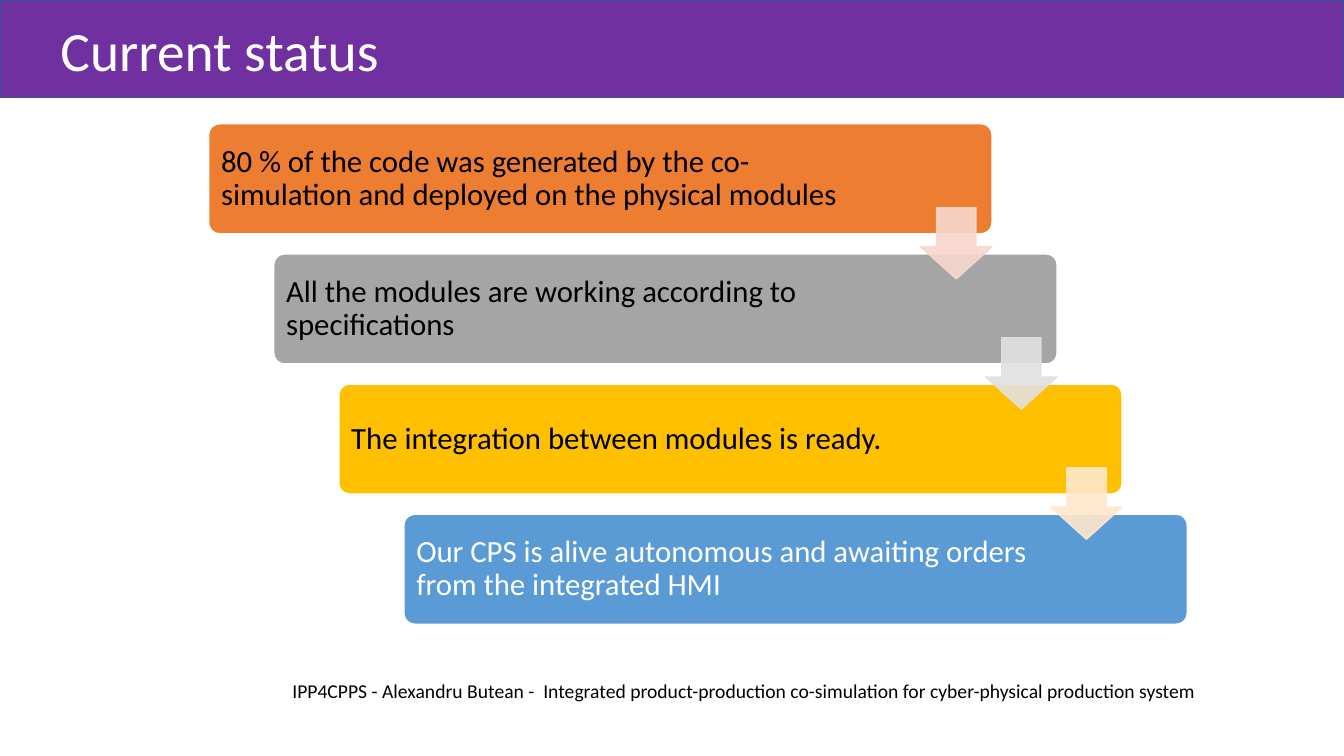
from dataclasses import dataclass

from lxml import etree
from pptx import Presentation
from pptx import util as u
from pptx.dml.color import RGBColor
from pptx.enum import shapes, text
from pptx.oxml.ns import qn
from pptx.shapes.autoshape import Shape
from pptx.slide import Slide
from pptx.text.text import TextFrame


@dataclass(frozen=True)
class Theme:
    font: str = "Calibri"
    white: str = "FFFFFF"
    black: str = "000000"
    band: str = "7030A0"
    band_edge: str = "325491"
    title_size: float = 39.6
    step_size: float = 22
    footer_size: float = 14
    line_width: float = 1
    line_spacing: float = 0.9
    arrow_opacity: int = 90


@dataclass(frozen=True)
class Step:
    wording: str
    fill: str
    ink: str
    arrow: str | None = None


THEME = Theme()
PAGE_WIDTH, PAGE_HEIGHT = u.Cm(33.87), u.Cm(19.05)
BAND_HEIGHT = u.Cm(2.46)
STAIR_LEFT, STAIR_TOP = u.Cm(5.26), u.Cm(3.12)
SHIFT_X, SHIFT_Y = u.Cm(1.64), u.Cm(3.28)
STEP_WIDTH, STEP_HEIGHT = u.Cm(19.74), u.Cm(2.77)
STEP_INSET, ARROW_MARGIN = u.Cm(0.23), u.Cm(3.55)
ARROW_SIZE, ARROW_DROP = u.Cm(1.8), u.Cm(2.11)

STEPS = [
    Step("80 % of the code was generated by the co-simulation and deployed on the physical modules",
         "ED7D31", THEME.black, "F8D7CE"),
    Step("All the modules are working according to specifications",
         "A5A5A5", THEME.black, "E1E1E1"),
    Step("The integration between modules is ready.",
         "FFC000", THEME.black, "FFE8CC"),
    Step("Our CPS is alive autonomous and awaiting orders from the integrated HMI",
         "5B9BD5", THEME.white),
]
FOOTER = ("IPP4CPPS - Alexandru Butean -  Integrated product-production "
          "co-simulation for cyber-physical production system")


def write(frame: TextFrame, wording: str, size: float, ink: str,
          align: text.PP_ALIGN, anchor: text.MSO_ANCHOR) -> None:
    frame.word_wrap = True
    frame.auto_size = text.MSO_AUTO_SIZE.NONE
    frame.vertical_anchor = anchor
    para = frame.paragraphs[0]
    para.text = wording
    para.alignment = align
    para.line_spacing = THEME.line_spacing
    para.space_before = u.Pt(0)
    para.font.name = THEME.font
    para.font.size = u.Pt(size)
    para.font.color.rgb = RGBColor.from_string(ink)


def add_block(page: Slide, kind: shapes.MSO_SHAPE, left: int, top: int,
              width: int, height: int, fill: str, edge: str) -> Shape:
    """Add a flat preset shape with a solid fill and a thin outline."""
    block = page.shapes.add_shape(kind, left, top, width, height)
    block.shadow.inherit = False
    block.fill.solid()
    block.fill.fore_color.rgb = RGBColor.from_string(fill)
    block.line.color.rgb = RGBColor.from_string(edge)
    block.line.width = u.Pt(THEME.line_width)
    return block


def add_title(page: Slide, wording: str) -> None:
    title = page.shapes.title
    title.left, title.top = u.Cm(1.27), u.Cm(0.53)
    title.width, title.height = u.Cm(29.21), u.Cm(1.65)
    write(title.text_frame, wording, THEME.title_size, THEME.white,
          text.PP_ALIGN.LEFT, text.MSO_ANCHOR.MIDDLE)


def add_band(page: Slide) -> None:
    """Add the header band behind the title."""
    band = add_block(page, shapes.MSO_SHAPE.RECTANGLE, 0, 0, PAGE_WIDTH,
                     BAND_HEIGHT, THEME.band, THEME.band_edge)
    page.shapes.title._element.addprevious(band._element)


def add_step(page: Slide, index: int, step: Step) -> None:
    box = add_block(page, shapes.MSO_SHAPE.ROUNDED_RECTANGLE,
                    STAIR_LEFT + index * SHIFT_X, STAIR_TOP + index * SHIFT_Y,
                    STEP_WIDTH, STEP_HEIGHT, step.fill, THEME.white)
    box.adjustments[0] = 0.1
    frame = box.text_frame
    frame.margin_left = frame.margin_top = frame.margin_bottom = STEP_INSET
    frame.margin_right = ARROW_MARGIN
    write(frame, step.wording, THEME.step_size, step.ink,
          text.PP_ALIGN.LEFT, text.MSO_ANCHOR.MIDDLE)


def add_arrow(page: Slide, index: int, tint: str) -> None:
    """Add a translucent arrow at the right end of a step."""
    arrow = add_block(page, shapes.MSO_SHAPE.DOWN_ARROW,
                      STAIR_LEFT + index * SHIFT_X + STEP_WIDTH - ARROW_SIZE,
                      STAIR_TOP + index * SHIFT_Y + ARROW_DROP,
                      ARROW_SIZE, ARROW_SIZE, tint, tint)
    arrow.adjustments[0] = 0.55
    arrow.adjustments[1] = 0.45
    for color in arrow._element.spPr.iter(qn("a:srgbClr")):
        etree.SubElement(color, qn("a:alpha"), val=str(THEME.arrow_opacity * 1000))


def add_footer(page: Slide) -> None:
    box = page.shapes.add_textbox(u.Cm(3.78), u.Cm(17.04), u.Cm(29.95), u.Cm(1.12))
    write(box.text_frame, FOOTER, THEME.footer_size, THEME.black,
          text.PP_ALIGN.CENTER, text.MSO_ANCHOR.TOP)


def main() -> None:
    deck = Presentation()
    deck.slide_width, deck.slide_height = PAGE_WIDTH, PAGE_HEIGHT
    page = deck.slides.add_slide(deck.slide_layouts.get_by_name("Title Only"))
    add_title(page, "Current status")
    add_band(page)
    for index, step in enumerate(STEPS):
        add_step(page, index, step)
    for index, step in enumerate(STEPS):
        if step.arrow:
            add_arrow(page, index, step.arrow)
    add_footer(page)
    deck.save("out.pptx")


if __name__ == "__main__":
    main()
